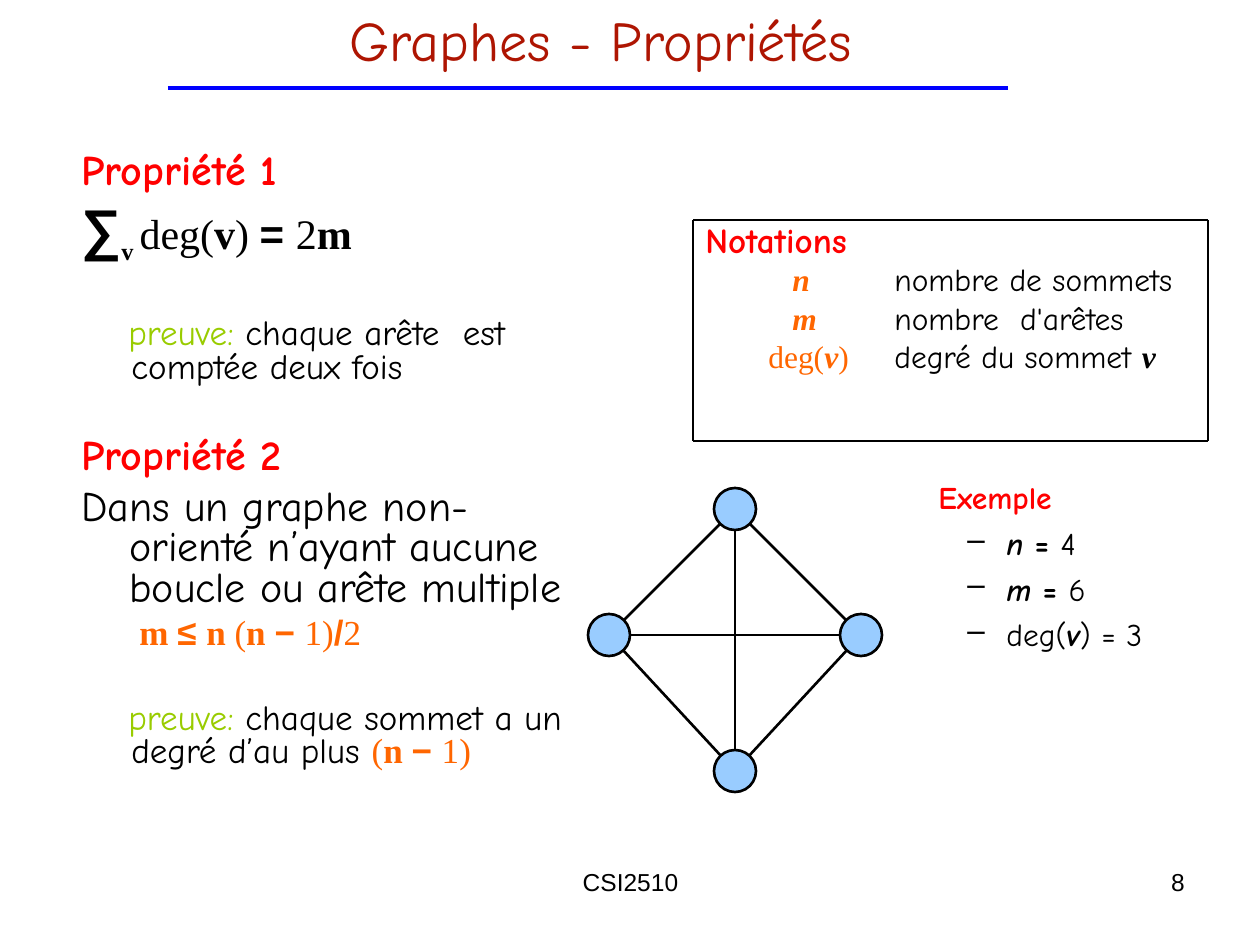
from itertools import combinations
from math import hypot

from lxml.etree import SubElement
from pptx import Presentation
from pptx.dml.color import RGBColor
from pptx.enum.shapes import MSO_CONNECTOR as Connector, MSO_SHAPE as Shape
from pptx.enum.text import MSO_ANCHOR as Anchor, PP_ALIGN as Align
from pptx.oxml.ns import qn
from pptx.util import Emu, Pt

# Content: run styles, then paragraphs as (layout, size, runs)
COMIC, TIMES, ARIAL = "Comic Neue", "Times New Roman", "Arial"
BLACK, RED, ORANGE, GREEN = "000000", "FF0000", "FF6600", "99CC00"
STYLES = {
    "title": (COMIC, "AE1502", ""),
    "footer": (ARIAL, BLACK, ""),
    "heading": (COMIC, RED, "b"),
    "text": (COMIC, BLACK, ""),
    "strong": (COMIC, BLACK, "b"),
    "variable": (COMIC, BLACK, "bi"),
    "proof": (COMIC, GREEN, ""),
    "math": (TIMES, BLACK, ""),
    "math bold": (TIMES, BLACK, "b"),
    "math variable": (TIMES, BLACK, "bi"),
    "operator": (ARIAL, BLACK, "b"),
    "formula": (TIMES, ORANGE, ""),
    "formula bold": (TIMES, ORANGE, "b"),
    "formula variable": (TIMES, ORANGE, "bi"),
    "formula operator": (ARIAL, ORANGE, "b"),
}
# layout: left margin px, first-line indent px, line spacing, bullet
LAYOUTS = {
    "plain": (0, 0, 1, None),
    "hanging": (48, -48, 0.8, None),
    "proof": (50, -3, 0.8, None),
    "formula": (58, 0, 0.8, None),
    "notation title": (16, -16, 0.8, None),
    "symbol": (189, -102, 0.8, None),
    "degree": (189, -126, 0.8, None),
    "example title": (34, 0, 1, None),
    "example": (102, -39, 1, "–"),
}
N_MINUS_1 = [("n ", "formula bold"), ("− ", "formula operator"), ("1)", "formula")]
# paragraphs: layout, size, space before, runs
PROPERTIES = [
    ("hanging", 24, 0, [("Propriété 1", "heading")]),
    ("hanging", 24, 6, [("∑", "operator", 32), ("v ", "math bold", 24, -25000),
                        ("deg(", "math"), ("v", "math bold"), (") ", "math"),
                        ("= ", "operator"), ("2", "math"), ("m", "math bold")]),
    ("proof", 20, 33, [("preuve:", "proof"),
                       (" chaque arête  est comptée deux fois", "text")]),
    ("hanging", 24, 30, [("Propriété 2", "heading")]),
    ("hanging", 24, 6, [("Dans un graphe non-orienté n’ayant aucune "
                         "boucle ou arête multiple", "text")]),
    ("formula", 20, 5, [("m ", "formula bold"), ("≤ ", "formula operator"),
                        ("n ", "formula bold"), ("(", "formula"), *N_MINUS_1,
                        ("/", "formula operator"), ("2", "formula")]),
    ("proof", 20, 29, [("preuve:", "proof"),
                       (" chaque sommet a un degré d’au plus ", "text"),
                       ("(", "formula"), *N_MINUS_1]),
]
NOTATIONS = [
    ("notation title", 20, 0, [("Notations", "heading")]),
    ("symbol", 18, 4.5, [("n\t", "formula variable"), ("nombre de sommets", "text")]),
    ("symbol", 18, 4.5, [("m\t", "formula variable"), ("nombre  d'arêtes", "text")]),
    ("degree", 18, 4.5, [("deg(", "formula"), ("v", "formula variable"),
                         (")\t", "formula"), ("degré du sommet ", "text"),
                         ("v", "math variable")]),
]
EXAMPLE = [
    ("example title", 18, 0, [("Exemple", "heading")]),
    ("example", 18, 4.5, [("n ", "variable"), ("= ", "strong"), ("4", "text")]),
    ("example", 18, 4.5, [("m ", "variable"), ("= ", "strong"), ("6", "text")]),
    ("example", 18, 4.5, [("deg(", "text"), ("v", "variable"), (") = 3", "text")]),
]
TITLE = [("plain", 32, 0, [("Graphes - Propriétés", "title")])]
FOOTER = [("plain", 14, 0, [("CSI2510", "footer")])]
PAGE = [("plain", 14, 0, [("8", "footer")])]

# Places in px
TITLE_BOX = (34, -11, 1134, 100)
NOTATION_BOX = (693, 220, 515, 221)
TEXT_BOXES = [
    ((431, 861, 399, 66), FOOTER, Align.CENTER),
    ((903, 861, 294, 66), PAGE, Align.RIGHT),
    (NOTATION_BOX, NOTATIONS, Align.LEFT),
    ((69, 147, 532, 640), PROPERTIES, Align.LEFT),
    ((892, 472, 315, 252), EXAMPLE, Align.LEFT),
]
VERTICES = [(735, 509), (861, 635), (735, 771), (609, 635)]
RADIUS = 21


def px(value):
    return Emu(round(value * 914400 / 126))


def color(value):
    return RGBColor.from_string(value)


def write(frame, paragraphs, align):
    frame.word_wrap = True
    for index, (layout, size, before, runs) in enumerate(paragraphs):
        paragraph = frame.paragraphs[0] if index == 0 else frame.add_paragraph()
        margin, indent, spacing, bullet = LAYOUTS[layout]
        properties = paragraph._p.get_or_add_pPr()
        properties.set("marL", str(px(margin)))
        properties.set("indent", str(px(indent)))
        if bullet:
            SubElement(properties, qn("a:buChar")).set("char", bullet)
        else:
            SubElement(properties, qn("a:buNone"))
        formats = {"alignment": align, "line_spacing": spacing, "space_before": Pt(before)}
        for name, value in formats.items():
            setattr(paragraph, name, value)
        for text, style, *extra in runs:
            run = paragraph.add_run()
            run.text = text
            face, ink, flags = STYLES[style]
            formats = {"name": face, "size": Pt(extra[0] if extra else size),
                       "bold": "b" in flags, "italic": "i" in flags}
            for name, value in formats.items():
                setattr(run.font, name, value)
            run.font.color.rgb = color(ink)
            if len(extra) > 1:
                run._r.get_or_add_rPr().set("baseline", str(extra[1]))


def add_line(slide, start, end, ink=BLACK, width=1.5):
    line = slide.shapes.add_connector(Connector.STRAIGHT, *map(px, (*start, *end)))
    line.line.color.rgb = color(ink)
    line.line.width = Pt(width)
    SubElement(line._element.spPr, qn("a:effectLst"))


def add_edge(slide, start, end):
    """Join the rims of two vertices."""
    dx, dy = end[0] - start[0], end[1] - start[1]
    share = RADIUS / hypot(dx, dy)
    add_line(slide, (start[0] + dx * share, start[1] + dy * share),
             (end[0] - dx * share, end[1] - dy * share))


def main():
    presentation = Presentation()
    presentation.slide_width, presentation.slide_height = px(1260), px(945)
    slide = presentation.slides.add_slide(presentation.slide_layouts[5])

    # Title and its rule
    title = slide.shapes.title
    for name, value in zip(("left", "top", "width", "height"), TITLE_BOX):
        setattr(title, name, px(value))
    title.text_frame.vertical_anchor = Anchor.MIDDLE
    write(title.text_frame, TITLE, Align.CENTER)
    add_line(slide, (168, 88), (1008, 88), "0000FF", 2.75)

    # Text
    for place, paragraphs, align in TEXT_BOXES:
        box = slide.shapes.add_textbox(*map(px, place))
        write(box.text_frame, paragraphs, align)

    # Complete graph
    for x, y in VERTICES:
        vertex = slide.shapes.add_shape(
            Shape.OVAL, *map(px, (x - RADIUS, y - RADIUS, 2 * RADIUS, 2 * RADIUS)))
        vertex.shadow.inherit = False
        vertex.fill.solid()
        vertex.fill.fore_color.rgb = color("99CCFF")
        vertex.line.color.rgb = color(BLACK)
        vertex.line.width = Pt(1.5)
    for start, end in combinations(VERTICES, 2):
        add_edge(slide, start, end)

    # Frame around the notations
    left, top, width, height = NOTATION_BOX
    right, bottom = left + width, top + height
    corners = [(left, top), (right, top), (right, bottom), (left, bottom)]
    for start, end in zip(corners, corners[1:] + corners[:1]):
        add_line(slide, start, end)

    presentation.save("out.pptx")


if __name__ == "__main__":
    main()
